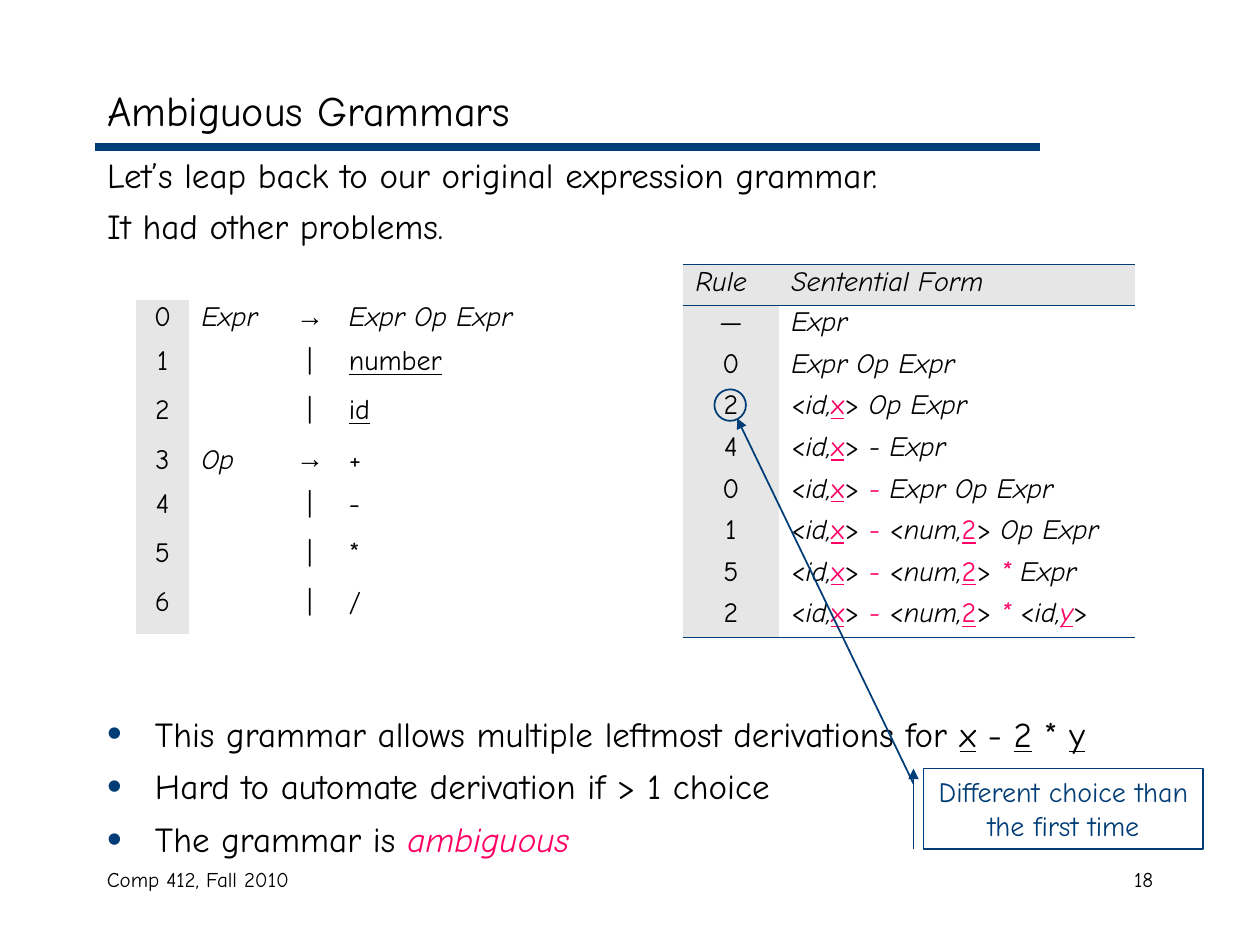
"""Build the slide on ambiguous grammars."""
from dataclasses import dataclass

from lxml import etree
from pptx import Presentation
from pptx import util as u
from pptx.dml import color
from pptx.enum import shapes, text
from pptx.oxml import ns

NAVY, PINK, GREY, BLACK = "003C75", "FF0065", "E6E6E6", "000000"
FACE = "Comic Neue"
PLAIN = "{2D5ABB26-0587-4C30-8999-92F81FD0307C}"
LEFT, MID, RIGHT = text.PP_ALIGN.LEFT, text.PP_ALIGN.CENTER, text.PP_ALIGN.RIGHT


@dataclass
class Run:
    words: str
    style: str = ""
    face: str = FACE


@dataclass
class Line:
    runs: list[Run]
    gap: float = 0
    dot: bool = False


@dataclass
class Grid:
    left: float
    top: float
    cols: list[float]
    rows: list[float]
    mids: set[int]


@dataclass
class Label:
    words: str
    box: tuple[float, float, float, float]
    align: text.PP_ALIGN


def hue(code: str) -> color.RGBColor:
    return color.RGBColor.from_string(code)


def inch(*nums: float) -> list[u.Length]:
    return [u.Inches(n) for n in nums]


def add(node, tag: str, **attrs: str):
    return etree.SubElement(node, ns.qn(tag), attrs)


def mark(font, run: Run) -> None:
    if "i" in run.style:
        font.italic = True
    if "u" in run.style:
        font.underline = True
    if "h" in run.style:
        font.color.rgb = hue(PINK)
    if run.face != FACE:
        font.name = run.face


def write(para, runs: list[Run], size: float, align=LEFT, ink: str = BLACK) -> None:
    para.alignment = align
    font = para.font
    font.name, font.size = FACE, u.Pt(size)
    font.color.rgb = hue(ink)
    for run in runs:
        part = para.add_run()
        part.text = run.words
        mark(font if len(runs) == 1 else part.font, run)


def bullet(para, dot: bool) -> None:
    props = para._p.get_or_add_pPr()
    props.set("marL", str(u.Inches(0.38)))
    props.set("indent", str(-u.Inches(0.38)))
    if dot:
        add(add(props, "a:buClr"), "a:srgbClr", val=NAVY)
        add(props, "a:buSzPct", val="120000")
        add(props, "a:buChar", char="•")
    else:
        add(props, "a:buNone")


def stroke(slide, start: tuple, end: tuple, width: float, head: bool = False) -> None:
    line = slide.shapes.add_connector(shapes.MSO_CONNECTOR.STRAIGHT, *inch(*start, *end))
    line.line.color.rgb = hue(NAVY)
    line.line.width = u.Pt(width)
    props = line._element.spPr
    if head:
        add(props.find(ns.qn("a:ln")), "a:headEnd", type="triangle")
    add(props, "a:effectLst")


def outline(slide, kind, box: tuple):
    shape = slide.shapes.add_shape(kind, *inch(*box))
    shape.shadow.inherit = False
    shape.fill.background()
    shape.line.color.rgb = hue(NAVY)
    shape.line.width = u.Pt(1)
    return shape


def border(cell, tag: str, width: float) -> None:
    props = cell._tc.get_or_add_tcPr()
    edge = add(props, tag, w=str(u.Pt(width)))
    add(add(edge, "a:solidFill"), "a:srgbClr", val=NAVY)
    props.insert(len(props.findall(ns.qn("a:lnT"))) if tag == "a:lnB" else 0, edge)


def table(slide, grid: Grid, data: list[list[list[Run]]], head: bool = False):
    size = inch(grid.left, grid.top, sum(grid.cols), sum(grid.rows))
    tab = slide.shapes.add_table(len(grid.rows), len(grid.cols), *size).table
    tab.first_row = tab.horz_banding = False
    tab._tbl.tblPr.find(ns.qn("a:tableStyleId")).text = PLAIN
    for col, width in zip(tab.columns, grid.cols):
        col.width = u.Inches(width)
    for r, (height, cells) in enumerate(zip(grid.rows, data)):
        tab.rows[r].height = u.Inches(height)
        for c, runs in enumerate(cells):
            cell, top = tab.cell(r, c), head and r == 0
            if c == 0 or top:
                cell.fill.solid()
                cell.fill.fore_color.rgb = hue(GREY)
            else:
                cell.fill.background()
            para = cell.text_frame.paragraphs[0]
            para.line_spacing = 0.8
            write(para, runs, 16, MID if c in grid.mids and not top else LEFT)
    return tab


def token(kind: str, value: str, style: str = "uh") -> list[Run]:
    return [Run("<"), Run(kind + ",", "i"), Run(value, style), Run(">")]


def heads(slide) -> None:
    title, body = slide.shapes.title, slide.placeholders[1]
    title.left, title.top, title.width, title.height = inch(0.75, 0.58, 8.5, 0.58)
    body.left, body.top, body.width, body.height = inch(0.75, 1.17, 8.83, 5.42)
    title.text_frame.vertical_anchor = text.MSO_ANCHOR.MIDDLE
    write(title.text_frame.paragraphs[0], [Run("Ambiguous Grammars")], 24)
    allows = "This grammar allows multiple leftmost derivations for "
    lines = [
        Line([Run("Let’s leap back to our original expression grammar.")]),
        Line([Run("It had other problems.")], 5),
        Line([Run(allows), Run("x", "u"), Run(" - "), Run("2", "u"),
              Run(" * "), Run("y", "u")], 266, True),
        Line([Run("Hard to automate derivation if > 1 choice")], 6.2, True),
        Line([Run("The grammar is "), Run("ambiguous", "ih")], 6.2, True),
    ]
    frame = body.text_frame
    for shape in (title, body):
        shape.text_frame.auto_size = text.MSO_AUTO_SIZE.NONE
    for n, line in enumerate(lines):
        para = frame.add_paragraph() if n else frame.paragraphs[0]
        para.space_before = u.Pt(line.gap)
        bullet(para, line.dot)
        write(para, line.runs, 20)


def rules(slide) -> None:
    arrow, bar = Run("→", face="Arial"), Run("|")
    items = [("Expr", Run("Expr Op Expr", "i")), ("", Run("number", "u")),
             ("", Run("id", "u")), ("Op", Run("+")),
             ("", Run("-")), ("", Run("*")), ("", Run("/"))]
    data = [[[Run(str(n))], [Run(name, "i")] if name else [],
             [arrow if name else bar], [form]]
            for n, (name, form) in enumerate(items)]
    rows = [0.35 if name else 0.39 for name, _ in items]
    table(slide, Grid(1.08, 2.38, [0.42, 0.75, 0.42, 1.75], rows, {0, 2}), data)


def steps(slide) -> None:
    name, num = token("id", "x"), token("num", "2")
    minus, times = Run(" - ", "ih"), Run(" * ", "ih")
    diff = [*name, minus, *num]
    items = [
        ("—", [Run("Expr", "i")]),
        ("0", [Run("Expr Op Expr", "i")]),
        ("2", [*name, Run(" Op Expr", "i")]),
        ("4", [*name, Run(" - Expr", "i")]),
        ("0", [*name, minus, Run("Expr Op Expr", "i")]),
        ("1", [*diff, Run(" Op Expr", "i")]),
        ("5", [*diff, times, Run("Expr", "i")]),
        ("2", [*diff, times, *token("id", "y", "iuh")]),
    ]
    data = [[[Run("Rule", "i")], [Run("Sentential Form", "i")]]]
    data += [[[Run(rule)], form] for rule, form in items]
    rows = [0.32] + [0.33] * len(items)
    tab = table(slide, Grid(5.42, 2.1, [0.76, 2.83], rows, {0}), data, True)
    for c in range(2):
        border(tab.cell(0, c), "a:lnT", 1.08)
        border(tab.cell(0, c), "a:lnB", 0.45)
        border(tab.cell(len(items), c), "a:lnB", 1.08)


def callout(slide) -> None:
    outline(slide, shapes.MSO_SHAPE.OVAL, (5.67, 3.09, 0.25, 0.25))
    box = outline(slide, shapes.MSO_SHAPE.RECTANGLE, (7.33, 6.1, 2.22, 0.64))
    frame = box.text_frame
    frame.word_wrap = True
    frame.vertical_anchor = text.MSO_ANCHOR.TOP
    words = "Different choice than the first time"
    write(frame.paragraphs[0], [Run(words)], 16, MID, NAVY)
    stroke(slide, (5.85, 3.32), (7.25, 6.22), 1, True)
    stroke(slide, (7.25, 6.1), (7.25, 6.74), 1, True)


def label(slide, item: Label) -> None:
    frame = slide.shapes.add_textbox(*inch(*item.box)).text_frame
    frame.word_wrap = True
    write(frame.paragraphs[0], [Run(item.words)], 12, item.align)


def main() -> None:
    deck = Presentation()
    deck.slide_width, deck.slide_height = inch(10, 7.5)
    slide = deck.slides.add_slide(deck.slide_layouts[1])
    stroke(slide, (0.75, 1.17), (8.25, 1.17), 4.5)
    heads(slide)
    label(slide, Label("Comp 412, Fall 2010", (0.75, 6.83, 3.17, 0.5), LEFT))
    label(slide, Label("18", (7.17, 6.83, 2.08, 0.5), RIGHT))
    rules(slide)
    steps(slide)
    callout(slide)
    deck.save("out.pptx")


if __name__ == "__main__":
    main()
